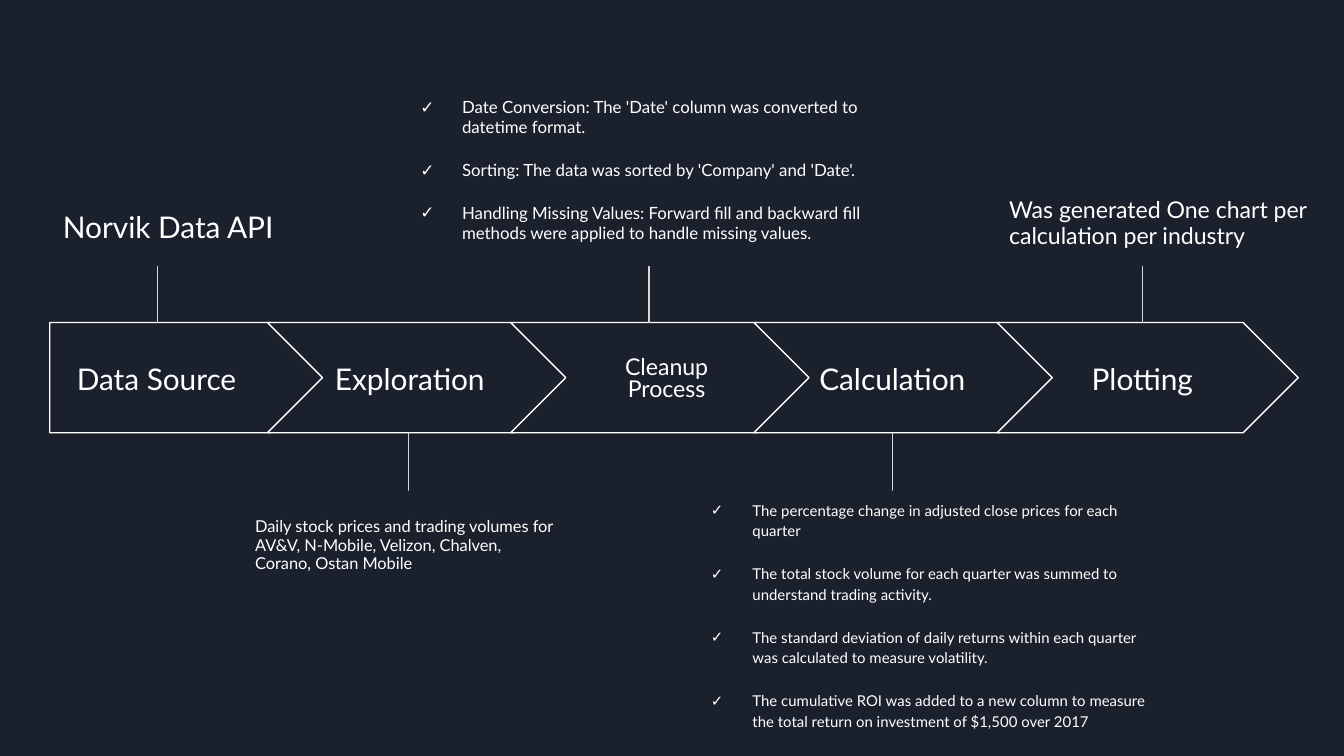
from dataclasses import dataclass

from lxml import etree
from pptx import Presentation
from pptx.dml.color import RGBColor
from pptx.enum import shapes, text
from pptx.oxml.ns import qn
from pptx.util import Inches, Pt

BACKGROUND, WHITE, STEM_GREY = "1B212C", "FFFFFF", "D9D9D9"
FONT = "Lato"
ARROW_TOP, ARROW_HEIGHT = 2.4, 0.82
CHEVRON_LEFT, CHEVRON_WIDTH, CHEVRON_PITCH = 1.99, 2.24, 1.81
STEM_LENGTH, DOT_SIZE = 0.6, 0.22


@dataclass
class Step:
    label: str
    label_box: tuple
    stem_x: float
    above: bool
    notes: list
    note_box: tuple
    note_size: float
    note_spacing: float
    label_size: float = 16
    label_spacing: float = 1.0
    label_inset: float = 0.1


STEPS = [
    Step("Data Source", (0.37, 2.56, 1.59, 0.51), 1.17, True,
         ["Norvik Data API"], (0.37, 1.41, 2.45, 0.99), 16, 1.15),
    Step("Exploration", (2.33, 2.56, 1.44, 0.51), 3.04, False,
         ["Daily stock prices and trading volumes for "
          "AV&V, N-Mobile, Velizon, Chalven, Corano, Ostan Mobile"],
         (1.8, 3.75, 2.45, 0.99), 8.8, 0.95),
    Step("Cleanup Process", (4.24, 2.57, 1.44, 0.51), 4.83, True,
         ["Date Conversion: The 'Date' column was converted to datetime format.",
          "Sorting: The data was sorted by 'Company' and 'Date'.",
          "Handling Missing Values: Forward fill and backward fill methods "
          "were applied to handle missing values."],
         (3.03, 0.62, 3.72, 0.99), 9, 1.0, 12.4, 0.8, 0.2),
    Step("Calculation", (5.92, 2.56, 1.44, 0.51), 6.64, False,
         ["The percentage change in adjusted close prices for each quarter",
          "The total stock volume for each quarter was summed to "
          "understand trading activity.",
          "The standard deviation of daily returns within each quarter "
          "was calculated to measure volatility.",
          "The cumulative ROI was added to a new column to measure "
          "the total return on investment of $1,500 over 2017"],
         (5.19, 3.61, 3.45, 0.99), 8, 1.15),
    Step("Plotting", (7.78, 2.56, 1.44, 0.51), 8.5, True,
         ["Was generated One chart per calculation per industry"],
         (7.41, 1.37, 2.45, 0.99), 12.4, 0.95),
]


def color(value):
    return RGBColor.from_string(value)


def add_check_bullet(paragraph):
    properties = paragraph._p.get_or_add_pPr()
    properties.set("marL", str(Inches(0.31)))
    properties.set("indent", str(Inches(-0.31)))
    bullet_color = etree.SubElement(properties, qn("a:buClr"))
    etree.SubElement(bullet_color, qn("a:srgbClr"), val=WHITE)
    etree.SubElement(properties, qn("a:buFont"), typeface=FONT)
    etree.SubElement(properties, qn("a:buChar"), char="✓")


def add_text(slide, box, lines, size, spacing, centered=False, inset=0.1):
    """Several lines become a checklist; a single one stays plain."""
    frame = slide.shapes.add_textbox(*map(Inches, box)).text_frame
    frame.word_wrap = True
    frame.margin_left = frame.margin_right = Inches(inset)
    frame.margin_top = frame.margin_bottom = Inches(0.1)
    if centered:
        frame.vertical_anchor = text.MSO_ANCHOR.MIDDLE
    frame.text = "\n".join(lines)
    for paragraph in frame.paragraphs:
        paragraph.line_spacing = spacing
        if centered:
            paragraph.alignment = text.PP_ALIGN.CENTER
        else:
            paragraph.space_after = Pt(12)
        if len(lines) > 1:
            add_check_bullet(paragraph)
        for run in paragraph.runs:
            run.font.name = FONT
            run.font.size = Pt(size)
            run.font.color.rgb = color(WHITE)


def add_filled_shape(slide, kind, box, line=None):
    shape = slide.shapes.add_shape(kind, *map(Inches, box))
    shape.shadow.inherit = False
    shape.fill.solid()
    shape.fill.fore_color.rgb = color(BACKGROUND)
    if line:
        shape.line.color.rgb = color(line)
        shape.line.width = Pt(0.75)
    else:
        shape.line.fill.background()


def add_arrow(slide, index):
    if index == 0:
        kind, left, width = shapes.MSO_SHAPE.PENTAGON, 0.37, 2.05
    else:
        kind, width = shapes.MSO_SHAPE.CHEVRON, CHEVRON_WIDTH
        left = CHEVRON_LEFT + (index - 1) * CHEVRON_PITCH
    add_filled_shape(slide, kind, (left, ARROW_TOP, width, ARROW_HEIGHT), WHITE)


def add_stem(slide, x, above):
    """Line from the arrow's edge towards its note, its far end masked by a dot."""
    if above:
        start, end, dot_top = ARROW_TOP - STEM_LENGTH, ARROW_TOP, 1.76
    else:
        end = ARROW_TOP + ARROW_HEIGHT
        start, dot_top = end + STEM_LENGTH, 3.65
    stem = slide.shapes.add_connector(
        shapes.MSO_CONNECTOR.STRAIGHT,
        Inches(x), Inches(start), Inches(x), Inches(end))
    stem.line.color.rgb = color(STEM_GREY)
    stem.line.width = Pt(0.75)
    etree.SubElement(stem._element.spPr, qn("a:effectLst"))
    add_filled_shape(slide, shapes.MSO_SHAPE.OVAL,
                     (x - DOT_SIZE / 2, dot_top, DOT_SIZE, DOT_SIZE))


def add_step(slide, index, step):
    add_arrow(slide, index)
    add_text(slide, step.label_box, [step.label], step.label_size,
             step.label_spacing, centered=True, inset=step.label_inset)
    add_stem(slide, step.stem_x, step.above)
    add_text(slide, step.note_box, step.notes, step.note_size, step.note_spacing)


def main():
    presentation = Presentation()
    presentation.slide_width = Inches(10)
    presentation.slide_height = Inches(10 * 9 / 16)
    slide = presentation.slides.add_slide(presentation.slide_layouts[6])
    slide.background.fill.solid()
    slide.background.fill.fore_color.rgb = color(BACKGROUND)
    for index, step in enumerate(STEPS):
        add_step(slide, index, step)
    presentation.save("out.pptx")


if __name__ == "__main__":
    main()
